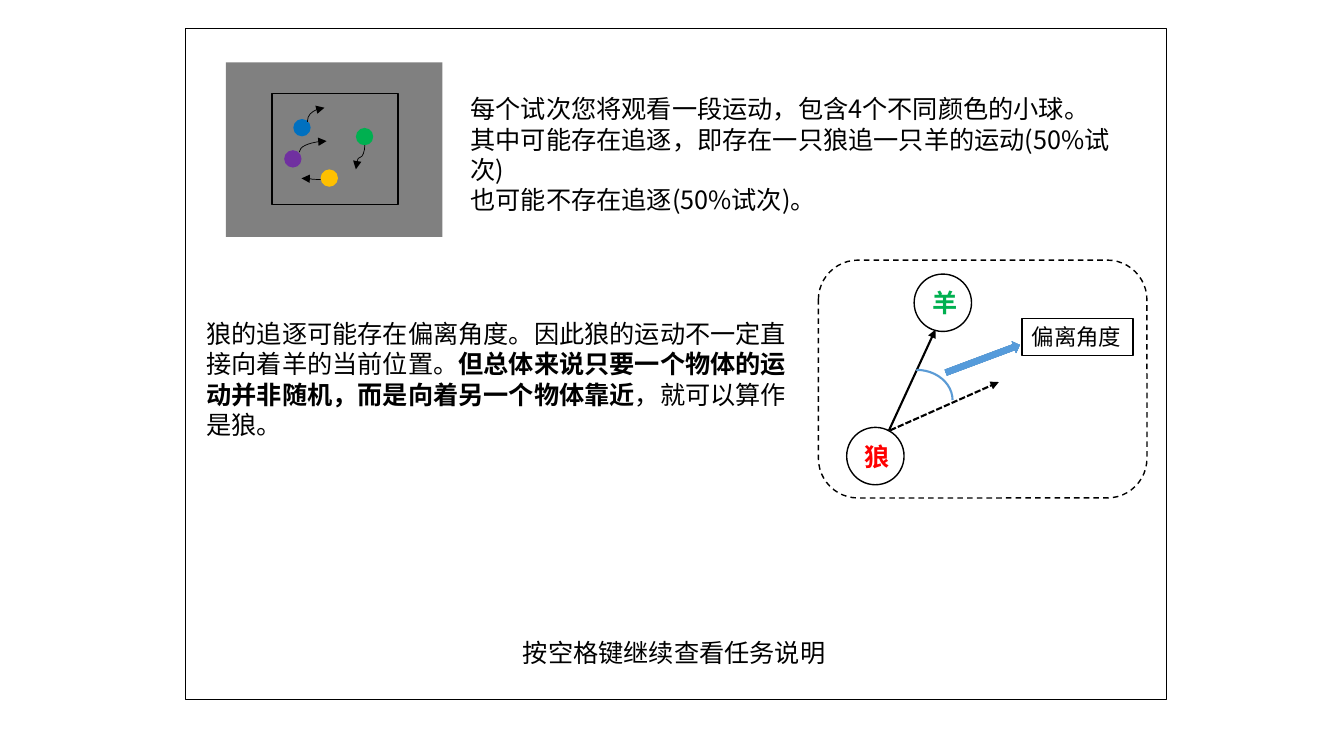
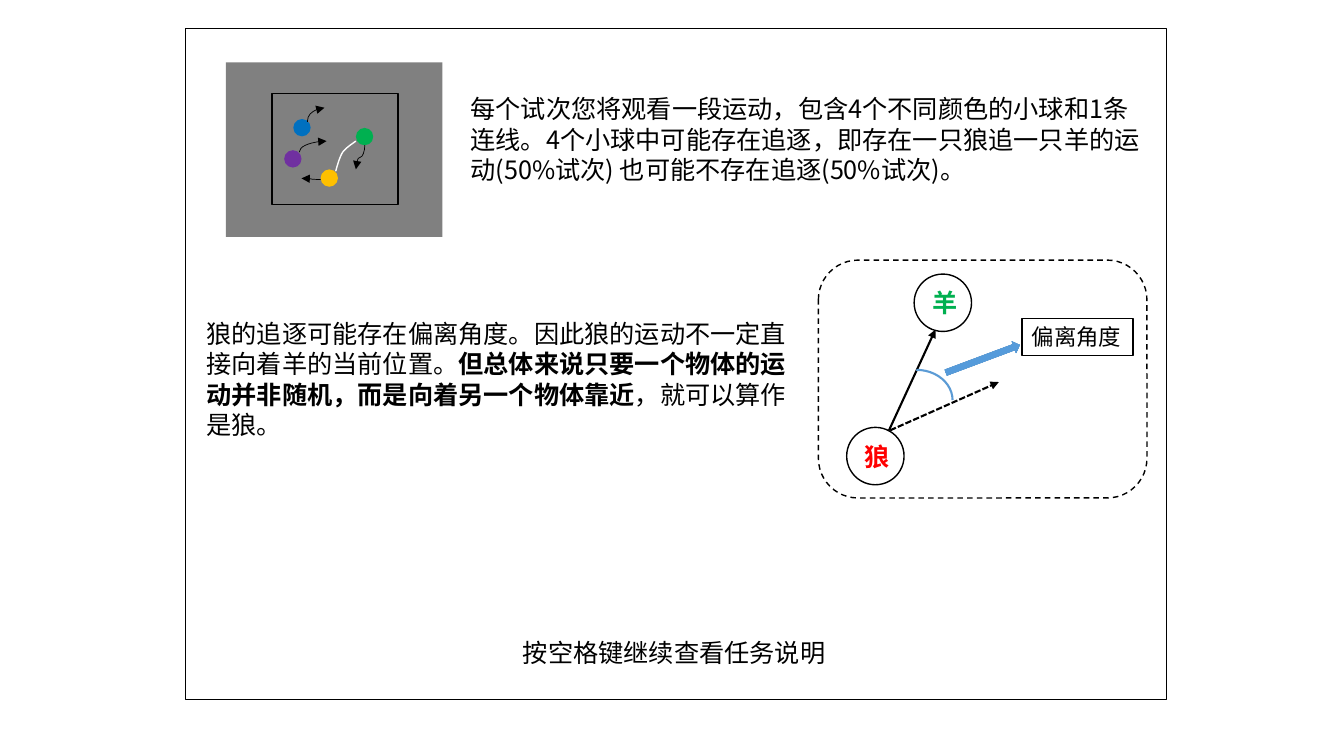
from copy import deepcopy
from dataclasses import dataclass

from lxml import etree
from pptx import Presentation
from pptx import util as u
from pptx.dml.color import RGBColor
from pptx.enum import dml, shapes, text
from pptx.oxml.ns import qn

FONT = "Noto Sans CJK SC"
BLACK, WHITE, GREY = "000000", "FFFFFF", "808080"
BLUE, YELLOW, GREEN, PURPLE, RED = "0070C0", "FFC000", "00B050", "7030A0", "FF0000"
ACCENT = "5B9BD5"
ARROW_SHADES = ("71A6DB", "559BDB", "448ACA")
BALL_SIZE, ANIMAL_SIZE = 12.4, 41
PRESET = shapes.MSO_SHAPE

Point = tuple[float, float]
Box = tuple[float, float, float, float]


@dataclass(frozen=True)
class Run:
    text: str
    bold: bool = False
    color: str = BLACK
    size: float = 18


@dataclass(frozen=True)
class Ball:
    left: float
    top: float
    color: str


@dataclass(frozen=True)
class Motion:
    """A curved arrow; turns counts clockwise quarter turns of the preset."""
    start: Point
    end: Point
    turns: int
    preset: str


@dataclass(frozen=True)
class Animal:
    left: float
    top: float
    name: str
    color: str


@dataclass(frozen=True)
class Heading:
    start: Point
    end: Point
    dash: object = None


@dataclass(frozen=True)
class Instruction:
    paragraphs: tuple[str, ...]
    has_link: bool = False


BALLS = (
    Ball(209.5, 85, BLUE),
    Ball(229, 121, YELLOW),
    Ball(254.2, 91.4, GREEN),
    Ball(203, 107.3, PURPLE),
)
MOTIONS = (
    Motion((260.6, 103.7), (254.2, 121), 1, "curvedConnector3"),
    Motion((229, 128.2), (215.3, 127.4), 2, "curvedConnector3"),
    Motion((219.6, 87.1), (231.8, 77), 1, "curvedConnector2"),
    Motion((213.8, 108.7), (233.3, 100.8), 1, "curvedConnector2"),
)
LINK_CURVES = (
    ((254.2, 100.8), (251.3, 103), (247.7, 105.1), (244.8, 108.7)),
    ((244.8, 108.7), (242.6, 112.3), (241.2, 117.4), (239.8, 122.4)),
)
ANIMALS = (Animal(604.8, 305.3, "狼", RED), Animal(653, 195.8, "羊", GREEN))
HEADINGS = (
    Heading((635, 307.4), (668.2, 235.4)),
    Heading((635.8, 307.4), (713.5, 272.9), dml.MSO_LINE.SQUARE_DOT),
)
DEVIATION = (
    Run("狼的追逐可能存在偏离角度。因此狼的运动不一定直接向着羊的当前位置。"),
    Run("但总体来说只要一个物体的运动并非随机，而是向着另一个物体靠近", bold=True),
    Run("，就可以算作是狼。"),
)
INSTRUCTIONS = (
    Instruction((
        "每个试次您将观看一段运动，包含4个不同颜色的小球。",
        "其中可能存在追逐，即存在一只狼追一只羊的运动(50%试次)",
        "也可能不存在追逐(50%试次)。",
    )),
    Instruction((
        "每个试次您将观看一段运动，包含4个不同颜色的小球和1条连线。"
        "4个小球中可能存在追逐，即存在一只狼追一只羊的运动(50%试次) "
        "也可能不存在追逐(50%试次)。",
    ), has_link=True),
)


def rgb(color: str) -> RGBColor:
    return RGBColor.from_string(color)


def set_line(line, color: str, width: float, dash=None) -> None:
    line.color.rgb = rgb(color)
    for name, value in {"width": u.Pt(width), "dash_style": dash}.items():
        setattr(line, name, value)


def set_fill(shape, color: str | None) -> None:
    if color is None:
        shape.fill.background()
    else:
        shape.fill.solid()
        shape.fill.fore_color.rgb = rgb(color)


def add_preset(parent, preset, box: Box, fill: str | None = None,
               line: str | None = None, width: float = 1, dash=None):
    shape = parent.add_shape(preset, *map(u.Pt, box))
    shape.shadow.inherit = False
    set_fill(shape, fill)
    if line is None:
        shape.line.fill.background()
    else:
        set_line(shape.line, line, width, dash)
    return shape


def write_runs(paragraph, runs: tuple[Run, ...]) -> None:
    for part in runs:
        run = paragraph.add_run()
        run.text = part.text
        run.font.color.rgb = rgb(part.color)
        style = {"name": FONT, "size": u.Pt(part.size), "bold": part.bold}
        for name, value in style.items():
            setattr(run.font, name, value)
        east_asian = etree.SubElement(run.font._element, qn("a:ea"))
        east_asian.set("typeface", FONT)


def add_text(parent, box: Box, paragraphs: tuple[tuple[Run, ...], ...], wrap: bool = True):
    textbox = parent.add_textbox(*map(u.Pt, box))
    frame = textbox.text_frame
    layout = {"word_wrap": wrap, "auto_size": text.MSO_AUTO_SIZE.SHAPE_TO_FIT_TEXT}
    for name, value in layout.items():
        setattr(frame, name, value)
    for index, runs in enumerate(paragraphs):
        write_runs(frame.add_paragraph() if index else frame.paragraphs[0], runs)
    return textbox


def add_arrow(parent, kind, start: Point, end: Point, width: float, dash=None):
    arrow = parent.add_connector(kind, *map(u.Pt, (*start, *end)))
    set_line(arrow.line, BLACK, width, dash)
    tail = etree.SubElement(arrow.line._get_or_add_ln(), qn("a:tailEnd"))
    tail.set("type", "triangle")
    etree.SubElement(arrow._element.spPr, qn("a:effectLst"))
    return arrow


def unturn(point: Point, center: Point, turns: int) -> Point:
    """Turn a point back by clockwise quarter turns around the center."""
    x, y = point[0] - center[0], point[1] - center[1]
    for _ in range(turns):
        x, y = y, -x
    return center[0] + x, center[1] + y


def add_motion(parent, motion: Motion) -> None:
    center = ((motion.start[0] + motion.end[0]) / 2, (motion.start[1] + motion.end[1]) / 2)
    start, end = (unturn(p, center, motion.turns) for p in (motion.start, motion.end))
    arrow = add_arrow(parent, shapes.MSO_CONNECTOR.CURVE, start, end, 0.5)
    properties = arrow._element.spPr
    properties.find(qn("a:xfrm")).set("rot", str(motion.turns * 90 * 60000))
    properties.find(qn("a:prstGeom")).set("prst", motion.preset)


def bezier(curve: tuple[Point, ...], t: float) -> Point:
    weights = ((1 - t) ** 3, 3 * t * (1 - t) ** 2, 3 * t * t * (1 - t), t ** 3)
    x, y = (sum(w * p[axis] for w, p in zip(weights, curve)) for axis in (0, 1))
    return x, y


def add_link(parent, steps: int = 12) -> None:
    start = LINK_CURVES[0][0]
    outline = parent.build_freeform(u.Pt(start[0]), u.Pt(start[1]))
    points = [bezier(curve, step / steps)
              for curve in LINK_CURVES for step in range(1, steps + 1)]
    outline.add_line_segments([(u.Pt(x), u.Pt(y)) for x, y in points], close=False)
    link = outline.convert_to_shape()
    link.shadow.inherit = False
    set_fill(link, None)
    set_line(link.line, WHITE, 1)


def draw_display(slide) -> None:
    display = slide.shapes.add_group_shape().shapes
    add_preset(display, PRESET.RECTANGLE, (161.3, 44.6, 154.8, 124.6), GREY)
    add_preset(display, PRESET.RECTANGLE, (194.4, 67, 90, 79.2), line=BLACK)
    for ball in BALLS:
        add_preset(display, PRESET.OVAL, (ball.left, ball.top, BALL_SIZE, BALL_SIZE), ball.color)
    for motion in MOTIONS:
        add_motion(display, motion)


def add_pointer(parent) -> None:
    pointer = add_preset(parent, PRESET.RIGHT_ARROW, (673.9, 252, 56.2, 8.6),
                         line=ACCENT, width=0.5)
    pointer.rotation = 339.5
    pointer.fill.gradient()
    pointer.fill.gradient_angle = 270
    stops = pointer._element.spPr.find(".//" + qn("a:gsLst"))
    stops.append(deepcopy(stops[0]))
    for index, (stop, shade) in enumerate(zip(pointer.fill.gradient_stops, ARROW_SHADES)):
        stop.color.rgb = rgb(shade)
        stop.position = index / 2


def draw_angle_diagram(slide) -> None:
    diagram = slide.shapes.add_group_shape().shapes
    for animal in ANIMALS:
        circle = add_preset(diagram, PRESET.OVAL,
                            (animal.left, animal.top, ANIMAL_SIZE, ANIMAL_SIZE), WHITE, BLACK)
        circle.text_frame.vertical_anchor = text.MSO_ANCHOR.MIDDLE
        paragraph = circle.text_frame.paragraphs[0]
        paragraph.alignment = text.PP_ALIGN.CENTER
        write_runs(paragraph, (Run(animal.name, True, animal.color),))
    for heading in HEADINGS:
        add_arrow(diagram, shapes.MSO_CONNECTOR.STRAIGHT, heading.start, heading.end,
                  1.5, heading.dash)
    add_preset(diagram, PRESET.ARC, (628.6, 264.2, 51.8, 43.2), line=ACCENT, width=1.5)
    add_pointer(diagram)
    label = add_text(diagram, (730.1, 227.5, 79.2, 26.6), ((Run("偏离角度", size=16),),), False)
    set_fill(label, WHITE)
    set_line(label.line, BLACK, 1)
    add_preset(slide.shapes, PRESET.ROUNDED_RECTANGLE, (584.6, 185.8, 234.7, 169.9),
               line=BLACK, dash=dml.MSO_LINE.DASH)


def draw_slide(slide, instruction: Instruction) -> None:
    draw_display(slide)
    add_text(slide.shapes, (329, 63.4, 493.9, 72.7),
             tuple((Run(line),) for line in instruction.paragraphs))
    screen = add_preset(slide.shapes, PRESET.ROUNDED_RECTANGLE,
                        (132.5, 20.2, 700.6, 479.5), line=BLACK)
    screen.adjustments[0] = 0
    add_text(slide.shapes, (140.4, 223.9, 432, 94.3), (DEVIATION,))
    draw_angle_diagram(slide)
    add_text(slide.shapes, (366.5, 451.4, 232.6, 28.8),
             ((Run("按空格键继续查看任务说明"),),), False)
    if instruction.has_link:
        add_link(slide.shapes)


def main() -> None:
    deck = Presentation()
    deck.slide_width, deck.slide_height = u.Pt(960), u.Pt(540)
    blank = deck.slide_layouts[6]
    for instruction in INSTRUCTIONS:
        draw_slide(deck.slides.add_slide(blank), instruction)
    deck.save("out.pptx")


if __name__ == "__main__":
    main()
